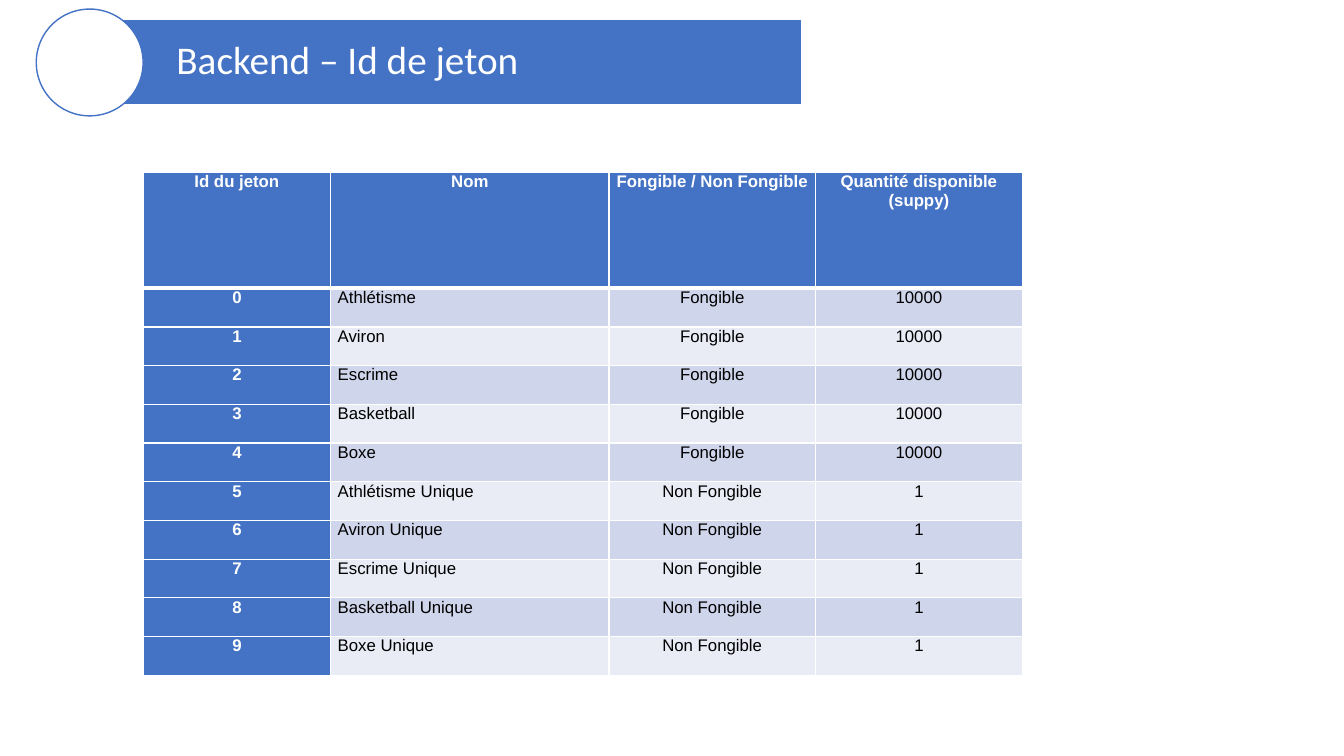
import pptx
import pptx.dml.color
import pptx.enum.shapes
import pptx.enum.text
import pptx.oxml
import pptx.oxml.ns
import pptx.util
from pptx.util import Inches

BLUE, WHITE, BLACK = "4472C4", "FFFFFF", "000000"
BANDS = ("CFD5EA", "E9EBF5")
HEADERS = ("Id du jeton", "Nom", "Fongible / Non Fongible", "Quantité disponible (suppy)")
SPORTS = ("Athlétisme", "Aviron", "Escrime", "Basketball", "Boxe")
COL_WIDTHS = (1.86, 2.76, 2.05, 2.05)
HEADER_HEIGHT, TABLE_HEIGHT = 1.15, 4.99


def rgb(value):
    """Return the colour for a hex string."""
    return pptx.dml.color.RGBColor.from_string(value)


def paint(sp, fill, line):
    """Give a shape a solid fill and a one-point outline."""
    sp.fill.solid()
    sp.fill.fore_color.rgb = rgb(fill)
    sp.line.color.rgb = rgb(line)
    sp.line.width = pptx.util.Pt(1)


def add_title(slide, text):
    """Turn the title placeholder into the blue banner."""
    sp = slide.shapes.title
    sp.left, sp.top = Inches(1.08), Inches(0.19)
    sp.width, sp.height = Inches(6.87), Inches(0.85)
    paint(sp, BLUE, WHITE)
    tf = sp.text_frame
    tf.text = text
    tf.word_wrap = True
    tf.auto_size = pptx.enum.text.MSO_AUTO_SIZE.NONE
    tf.vertical_anchor = pptx.enum.text.MSO_ANCHOR.MIDDLE
    tf.margin_left = Inches(0.67)
    tf.margin_top = tf.margin_right = tf.margin_bottom = Inches(0.08)
    p = tf.paragraphs[0]
    p.alignment = pptx.enum.text.PP_ALIGN.LEFT
    p.line_spacing = 0.9
    p.font.name = "Calibri"
    p.font.size = pptx.util.Pt(28)
    p.font.color.rgb = rgb(WHITE)


def add_circle(slide):
    """Add the white circle at the left end of the banner."""
    sp = slide.shapes.add_shape(
        pptx.enum.shapes.MSO_SHAPE.OVAL,
        Inches(0.36), Inches(0.09), Inches(1.06), Inches(1.06))
    sp.shadow.inherit = False
    paint(sp, WHITE, BLUE)


def set_borders(cell, top, bottom):
    """Draw white cell borders, with the top and bottom widths in points."""
    tc_pr = cell._tc.get_or_add_tcPr()
    for side, width in (("L", 1), ("R", 1), ("T", top), ("B", bottom)):
        tc_pr.append(pptx.oxml.parse_xml(
            f'<a:ln{side} {pptx.oxml.ns.nsdecls("a")} w="{pptx.util.Pt(width)}">'
            f'<a:solidFill><a:srgbClr val="{WHITE}"/></a:solidFill></a:ln{side}>'))


def format_cell(cell, text, row, col):
    """Fill in a cell and style it by its place in the table."""
    heading = row == 0 or col == 0
    set_borders(cell, 3 if row == 1 else 1, 3 if row == 0 else 1)
    cell.fill.solid()
    cell.fill.fore_color.rgb = rgb(BLUE if heading else BANDS[(row - 1) % 2])
    cell.margin_left = cell.margin_right = Inches(0.07)
    cell.margin_top = cell.margin_bottom = 0
    cell.text = text
    p = cell.text_frame.paragraphs[0]
    align = pptx.enum.text.PP_ALIGN
    p.alignment = align.JUSTIFY if col == 1 and row > 0 else align.CENTER
    p.space_before = p.space_after = pptx.util.Pt(3)
    p.font.name = "Arial"
    p.font.size = pptx.util.Pt(12)
    p.font.bold = heading
    p.font.color.rgb = rgb(WHITE if heading else BLACK)


def add_token_table(slide, rows):
    """Add the table of tokens under a tall header row."""
    table = slide.shapes.add_table(
        len(rows), len(COL_WIDTHS), Inches(1.42), Inches(1.71),
        Inches(sum(COL_WIDTHS)), Inches(TABLE_HEIGHT)).table
    for column, width in zip(table.columns, COL_WIDTHS):
        column.width = Inches(width)
    body_height = (TABLE_HEIGHT - HEADER_HEIGHT) / (len(rows) - 1)
    for i, values in enumerate(rows):
        table.rows[i].height = Inches(body_height if i else HEADER_HEIGHT)
        for j, text in enumerate(values):
            format_cell(table.cell(i, j), text, i, j)


def main():
    """Build the slide and save it."""
    prs = pptx.Presentation()
    prs.slide_width, prs.slide_height = Inches(13.33), Inches(7.5)
    slide = prs.slides.add_slide(prs.slide_layouts[5])
    add_title(slide, "Backend – Id de jeton")
    add_circle(slide)
    tokens = [(sport, "Fongible", "10000") for sport in SPORTS]
    tokens += [(f"{sport} Unique", "Non Fongible", "1") for sport in SPORTS]
    add_token_table(slide, [HEADERS] + [(str(i), *t) for i, t in enumerate(tokens)])
    prs.save("out.pptx")


if __name__ == "__main__":
    main()
